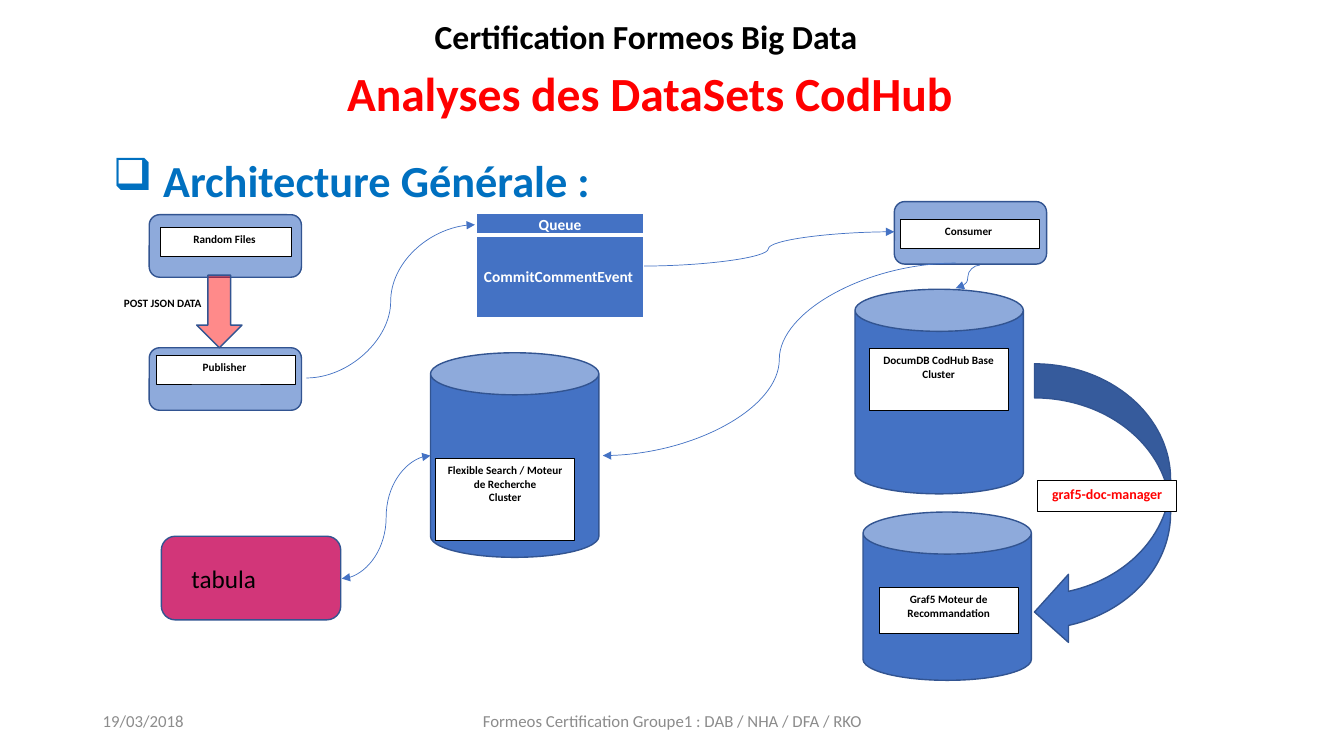
import pptx
import pptx.util
import pptx.dml.color
import pptx.enum.shapes
import pptx.enum.text
import pptx.oxml
import pptx.oxml.ns

Inches = pptx.util.Inches
Pt = pptx.util.Pt
RGBColor = pptx.dml.color.RGBColor
Kind = pptx.enum.shapes.MSO_SHAPE
Align = pptx.enum.text.PP_ALIGN
Anchor = pptx.enum.text.MSO_ANCHOR
qn = pptx.oxml.ns.qn

BLACK = RGBColor(0x00, 0x00, 0x00)
WHITE = RGBColor(0xFF, 0xFF, 0xFF)
RED = RGBColor(0xFF, 0x00, 0x00)
GREY = RGBColor(0x8C, 0x8C, 0x8C)
HEADING_BLUE = RGBColor(0x00, 0x70, 0xC0)
BLUE = RGBColor(0x44, 0x72, 0xC4)
OUTLINE = RGBColor(0x32, 0x54, 0x91)
PINK = RGBColor(0xD2, 0x36, 0x79)


def write(paragraph, text, size, color, bold=True, align=Align.LEFT):
    paragraph.alignment = align
    run = paragraph.add_run()
    run.text = text
    run.font.name = "Calibri"
    run.font.size = Pt(size)
    run.font.bold = bold
    run.font.color.rgb = color


def add_box(kind, place, fill, line, width):
    shape = slide.shapes.add_shape(kind, *[Inches(value) for value in place])
    shape.shadow.inherit = False
    shape.fill.solid()
    shape.fill.fore_color.rgb = fill
    shape.line.color.rgb = line
    shape.line.width = Pt(width)
    return shape


presentation = pptx.Presentation()
presentation.slide_width = Inches(13.33)
presentation.slide_height = Inches(7.5)
slide = presentation.slides.add_slide(presentation.slide_layouts[5])

title = slide.shapes.title
title.left, title.top = Inches(0.8), Inches(0.15)
title.width, title.height = Inches(11.29), Inches(1.15)
frame = title.text_frame
frame.auto_size = pptx.enum.text.MSO_AUTO_SIZE.NONE
frame.vertical_anchor = Anchor.TOP
title_lines = [
    ("Certification Formeos Big Data ", 24, BLACK, 0),
    ("Analyses des DataSets CodHub", 34, RED, 10),
]
for index, (text, size, color, space) in enumerate(title_lines):
    paragraph = frame.add_paragraph() if index else frame.paragraphs[0]
    paragraph.line_spacing = 0.9
    paragraph.space_before = Pt(space)
    write(paragraph, text, size, color, align=Align.CENTER)

containers = [
    (Kind.ROUNDED_RECTANGLE, (1.48, 2.13, 1.51, 0.62), BLUE, 60),
    (Kind.ROUNDED_RECTANGLE, (1.48, 3.45, 1.51, 0.62), BLUE, 60),
    (Kind.ROUNDED_RECTANGLE, (8.87, 2, 1.51, 0.62), BLUE, 60),
    (Kind.DOWN_ARROW, (1.95, 2.73, 0.45, 0.72), RED, 46),
    (Kind.CAN, (8.48, 2.87, 1.67, 2.03), BLUE, 100),
    (Kind.CAN, (4.27, 3.5, 1.67, 2.03), BLUE, 100),
    (Kind.CURVED_LEFT_ARROW, (10.26, 3.61, 1.35, 2.8), BLUE, 100),
    (Kind.CAN, (8.56, 5.08, 1.67, 1.67), BLUE, 100),
    (Kind.ROUNDED_RECTANGLE, (1.6, 5.32, 1.78, 0.83), PINK, 100),
]
for kind, place, fill, opacity in containers:
    shape = add_box(kind, place, fill, OUTLINE, 1)
    if opacity < 100:
        color = shape.fill._xPr.find(qn("a:solidFill"))[0]
        alpha = pptx.oxml.parse_xml(f'<a:alpha {pptx.oxml.ns.nsdecls("a")} val="{opacity * 1000}"/>')
        color.append(alpha)

flows = [
    ((3.04, 3.75), (4.71, 2.23), ["tailEnd"]),
    ((9.72, 2.63), (9.48, 2.86), ["tailEnd"]),
    ((6.37, 2.64), (8.87, 2.3), ["tailEnd"]),
    ((4.27, 4.52), (3.39, 5.74), ["headEnd", "tailEnd"]),
    ((9.48, 2.61), (5.98, 4.52), ["tailEnd"]),
]
for start, end, arrowheads in flows:
    connector = slide.shapes.add_connector(
        pptx.enum.shapes.MSO_CONNECTOR.CURVE, *[Inches(value) for value in start + end])
    connector.line.color.rgb = BLUE
    connector.line.width = Pt(0.5)
    properties = connector._element.spPr
    for arrowhead in arrowheads:
        properties.find(qn("a:ln")).append(pptx.oxml.parse_xml(
            f'<a:{arrowhead} {pptx.oxml.ns.nsdecls("a")} type="triangle"/>'))
    properties.append(pptx.oxml.parse_xml(f'<a:effectLst {pptx.oxml.ns.nsdecls("a")}/>'))

labels = [
    ((1.59, 2.26, 1.3, 0.28), ["Random Files "], 8, BLACK),
    ((1.55, 3.53, 1.38, 0.28), ["Publisher "], 8, BLACK),
    ((8.93, 2.18, 1.38, 0.28), ["Consumer "], 8, BLACK),
    ((8.62, 3.46, 1.38, 0.61), ["DocumDB CodHub Base", "Cluster"], 8, BLACK),
    ((4.32, 4.55, 1.38, 0.81), ["Flexible Search / Moteur de Recherche", "Cluster"], 8, BLACK),
    ((8.72, 5.83, 1.38, 0.45), ["Graf5 Moteur de Recommandation"], 8, BLACK),
    ((10.29, 4.77, 1.38, 0.3), ["graf5-doc-manager"], 10, RED),
]
for place, lines, size, color in labels:
    label = add_box(Kind.RECTANGLE, place, WHITE, BLACK, 0.5)
    frame = label.text_frame
    frame.word_wrap = True
    frame.vertical_anchor = Anchor.TOP
    for index, text in enumerate(lines):
        paragraph = frame.add_paragraph() if index else frame.paragraphs[0]
        write(paragraph, text, size, color, align=Align.CENTER)

table = slide.shapes.add_table(2, 1, Inches(4.73), Inches(2.12), Inches(1.65), Inches(1.03)).table
queue_rows = [
    ("Queue", 0.21, Align.CENTER, {"L": 1, "R": 1, "T": 1, "B": 3}),
    ("CommitCommentEvent", 0.82, Align.LEFT, {"L": 1, "R": 1, "T": 3, "B": 1}),
]
for index, (text, height, align, borders) in enumerate(queue_rows):
    table.rows[index].height = Inches(height)
    cell = table.cell(index, 0)
    cell.margin_left = cell.margin_right = Inches(0.07)
    cell.margin_top = cell.margin_bottom = 0
    cell.vertical_anchor = Anchor.MIDDLE
    for side, width in borders.items():
        cell._tc.get_or_add_tcPr().append(pptx.oxml.parse_xml(
            f'<a:ln{side} {pptx.oxml.ns.nsdecls("a")} w="{Pt(width)}">'
            f'<a:solidFill><a:srgbClr val="{WHITE}"/></a:solidFill></a:ln{side}>'))
    cell.fill.solid()
    cell.fill.fore_color.rgb = BLUE
    paragraph = cell.text_frame.paragraphs[0]
    paragraph.line_spacing = 1.07
    write(paragraph, text, 11, WHITE, align=align)

heading = "Architecture Générale :"
texts = [
    ((1.02, 1.47, 11.18, 0.64), heading, 31.7, HEADING_BLUE, True, Align.LEFT, Anchor.TOP),
    ((1.13, 2.89, 1.3, 0.28), "POST JSON DATA", 8, BLACK, True, Align.LEFT, Anchor.TOP),
    ((1.8, 5.54, 1.08, 0.4), "tabula", 18, BLACK, False, Align.LEFT, Anchor.TOP),
    ((0.92, 6.95, 3, 0.4), "19/03/2018", 12, GREY, False, Align.LEFT, Anchor.MIDDLE),
    ((4.42, 6.95, 4.5, 0.4), "Formeos Certification Groupe1 : DAB / NHA / DFA / RKO",
     12, GREY, False, Align.CENTER, Anchor.MIDDLE),
]
for place, text, size, color, bold, align, anchor in texts:
    frame = slide.shapes.add_textbox(*[Inches(value) for value in place]).text_frame
    frame.word_wrap = True
    frame.vertical_anchor = anchor
    paragraph = frame.paragraphs[0]
    write(paragraph, text, size, color, bold, align)
    if text == heading:
        properties = paragraph._p.get_or_add_pPr()
        properties.set("marL", str(Inches(0.5)))
        properties.set("indent", str(Inches(-0.5)))
        properties.append(pptx.oxml.parse_xml(f'<a:buChar {pptx.oxml.ns.nsdecls("a")} char="❑"/>'))

presentation.save("out.pptx")
